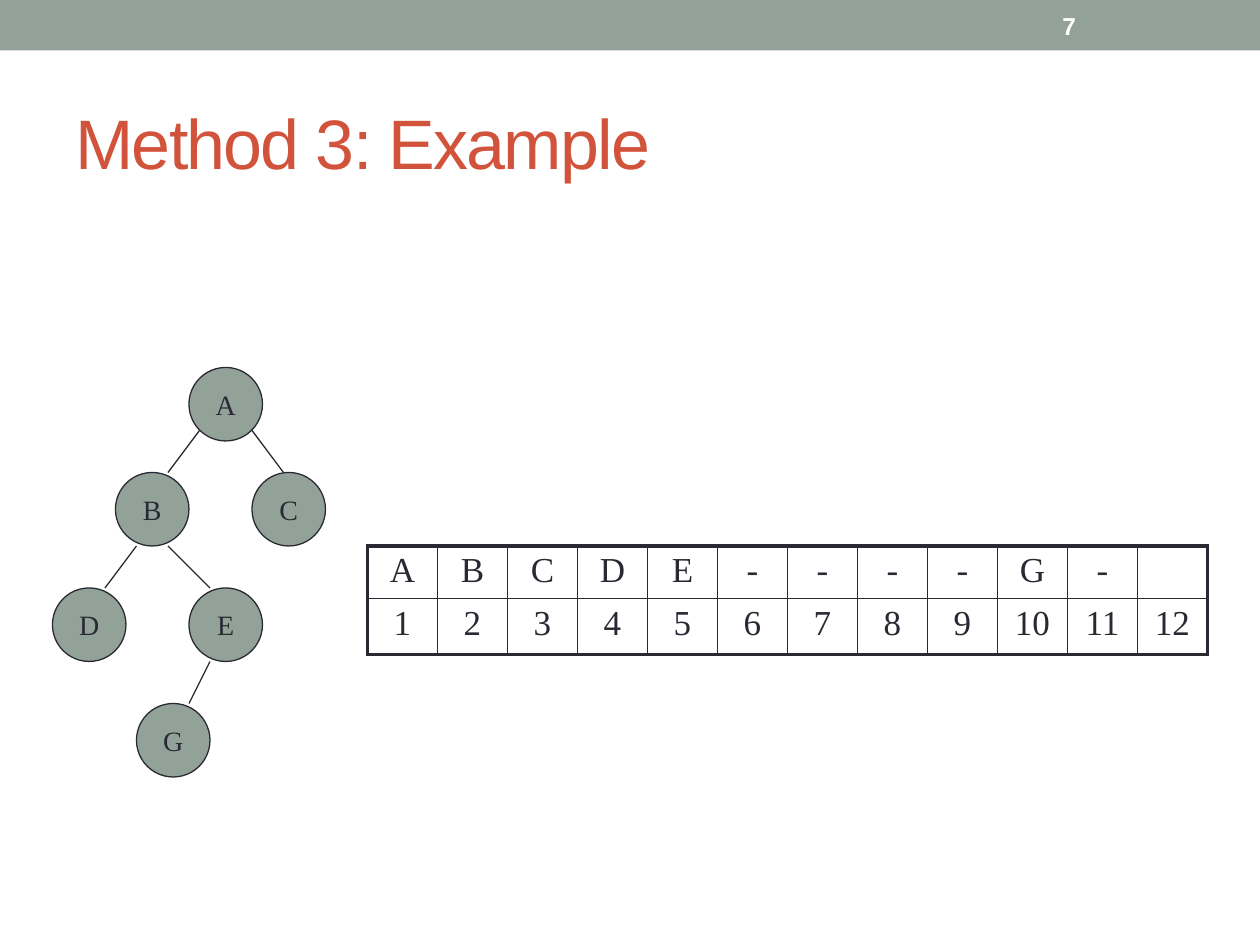
from dataclasses import dataclass
from lxml import etree
from pptx import Presentation
from pptx.dml.color import RGBColor
from pptx.enum.shapes import MSO_CONNECTOR, MSO_SHAPE
from pptx.enum.text import MSO_ANCHOR, PP_ALIGN
from pptx.oxml.ns import qn
from pptx.util import Pt

RECT, OVAL = MSO_SHAPE.RECTANGLE, MSO_SHAPE.OVAL
LINE = MSO_CONNECTOR.STRAIGHT
MIDDLE, TOP = MSO_ANCHOR.MIDDLE, MSO_ANCHOR.TOP
LEFT, CENTER = PP_ALIGN.LEFT, PP_ALIGN.CENTER


@dataclass(frozen=True)
class Theme:
    sage: str = "93A299"
    ink: str = "292934"
    red: str = "D2533C"
    white: str = "FFFFFF"
    sans: str = "Arial"
    serif: str = "Times New Roman"
    title: int = 40
    cell: int = 20
    node: int = 16
    page: int = 14
    thin: float = 0.75
    grid: float = 1
    frame: float = 2.25


T = Theme()

# Content: tree nodes with left and top, edges, array slots
TITLE, PAGE = "Method 3: Example", "7"
SIZE = 42
NODES = {"A": (108, 210), "B": (66, 270), "C": (144, 270),
         "D": (30, 336), "E": (108, 336), "G": (78, 402)}
# Parent, child, then the offset of each end from its node's corner
EDGES = [("A", "B", (6, 36), (30, 0)), ("A", "C", (36, 36), (18, 0)),
         ("B", "D", (12, 42), (30, 0)), ("B", "E", (30, 42), (12, 0)),
         ("E", "G", (12, 42), (30, 0))]
SLOTS = ["A", "B", "C", "D", "E", "-", "-", "-", "-", "G", "-", ""]
ROWS = [SLOTS, [str(i) for i in range(1, len(SLOTS) + 1)]]
HEIGHTS = [29.5, 32]


def rgb(code):
    return RGBColor.from_string(code)


def write(frame, text, size, color=T.ink, font=T.serif, bold=False,
          align=CENTER, anchor=MIDDLE, wrap=True, track=0):
    frame.word_wrap = wrap
    frame.vertical_anchor = anchor
    para = frame.paragraphs[0]
    para.alignment = align
    para.font.size = Pt(size)
    if not text:
        return
    run = para.add_run()
    run.text = text
    face = run.font
    face.name, face.size, face.bold = font, Pt(size), bold
    face.color.rgb = rgb(color)
    if track:
        run._r.get_or_add_rPr().set("spc", str(track * 100))


def shape(kind, box, line=None):
    item = slide.shapes.add_shape(kind, *map(Pt, box))
    item.shadow.inherit = False
    item.fill.solid()
    item.fill.fore_color.rgb = rgb(T.sage)
    if line:
        item.line.color.rgb = rgb(line)
        item.line.width = Pt(T.thin)
    else:
        item.line.fill.background()
    return item


def label(box, text, size, **look):
    item = slide.shapes.add_textbox(*map(Pt, box))
    write(item.text_frame, text, size, font=T.sans, align=LEFT, **look)


def border(cell, sides):
    props = cell._tc.get_or_add_tcPr()
    for spot, (side, width) in enumerate(sides.items()):
        edge = etree.Element(qn("a:ln" + side), w=str(Pt(width)))
        fill = etree.SubElement(edge, qn("a:solidFill"))
        etree.SubElement(fill, qn("a:srgbClr"), val=T.ink)
        props.insert(spot, edge)


deck = Presentation()
deck.slide_width, deck.slide_height = Pt(720), Pt(540)
slide = deck.slides.add_slide(deck.slide_layouts[6])

# Header and title
shape(RECT, (0, 0, 720, 28.8))
label((36, 42, 648, 78), TITLE, T.title, color=T.red, track=-1)
label((600, 1.5, 84, 26), PAGE, T.page, color=T.white, bold=True)

# Tree
for name, (x, y) in NODES.items():
    node = shape(OVAL, (x, y, SIZE, SIZE), line=T.ink)
    write(node.text_frame, name, T.node, wrap=False)

for parent, child, start, end in EDGES:
    ends = [at + off for name, shift in ((parent, start), (child, end))
            for at, off in zip(NODES[name], shift)]
    link = slide.shapes.add_connector(LINE, *map(Pt, ends))
    link.line.color.rgb = rgb(T.ink)
    link.line.width = Pt(T.thin)
    etree.SubElement(link._element.spPr, qn("a:effectLst"))

# Array table
last = len(SLOTS) - 1
table = slide.shapes.add_table(len(ROWS), len(SLOTS), Pt(210), Pt(312),
                               Pt(480), Pt(sum(HEIGHTS))).table
table.first_row = table.horz_banding = False
for col in table.columns:
    col.width = Pt(480 / len(SLOTS))
for r, (row, high) in enumerate(zip(ROWS, HEIGHTS)):
    table.rows[r].height = Pt(high)
    for c, text in enumerate(row):
        cell = table.cell(r, c)
        cell.fill.background()
        cell.margin_left = cell.margin_right = Pt(2)
        cell.margin_top = cell.margin_bottom = Pt(3)
        cell.vertical_anchor = TOP
        write(cell.text_frame, text, T.cell, anchor=TOP)
        outer = {"L": c == 0, "R": c == last,
                 "T": r == 0, "B": r == len(ROWS) - 1}
        border(cell, {side: T.frame if out else T.grid
                      for side, out in outer.items()})

deck.save("out.pptx")
